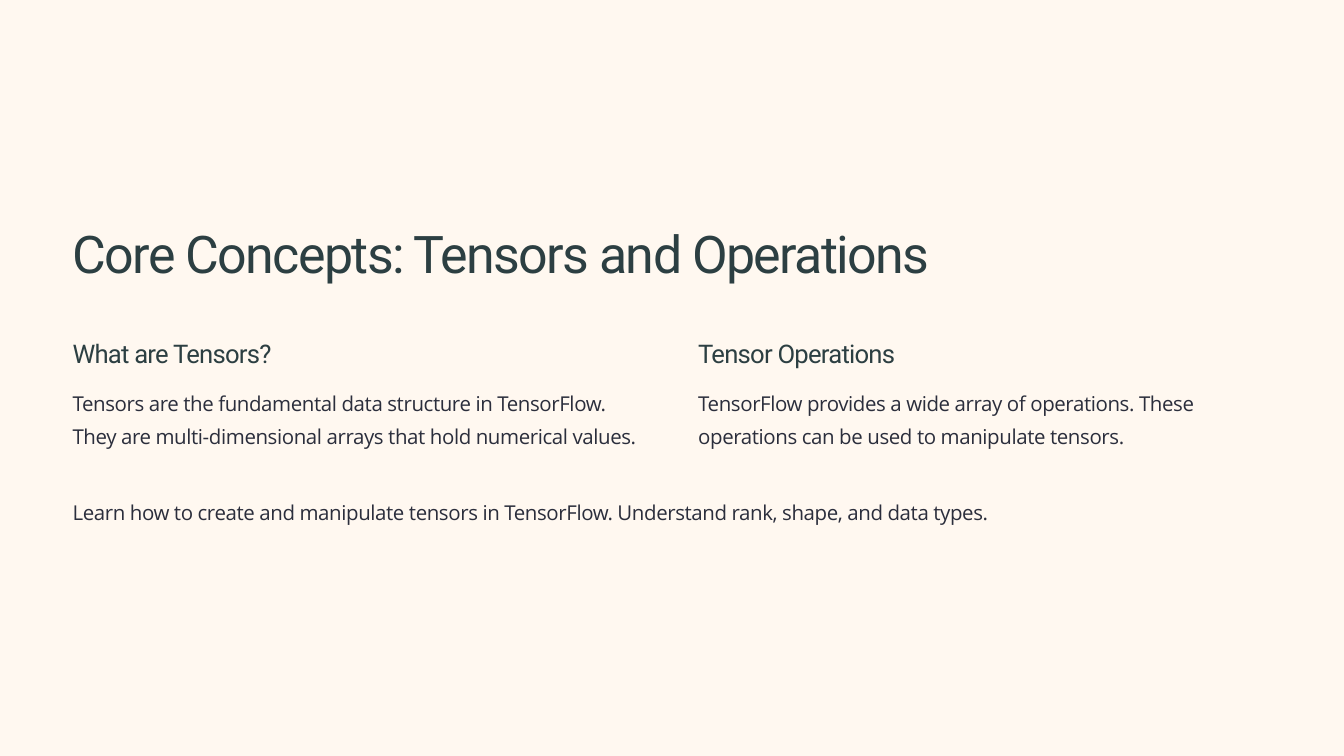
import dataclasses

import pptx
import pptx.dml.color
import pptx.enum.shapes
import pptx.enum.text
import pptx.oxml.ns
import pptx.util
import lxml.etree

Inches = pptx.util.Inches
Pt = pptx.util.Pt


@dataclasses.dataclass(frozen=True)
class Style:
    font: str
    size: float
    color: str
    lead: float
    track: float


@dataclasses.dataclass(frozen=True)
class Theme:
    base: str = "AABCB6"
    paper: str = "FFF8F0"
    title: Style = Style("Roboto", 55.6, "2C3F42", 69.4, -1.67)
    head: Style = Style("Roboto", 27.5, "2C3F42", 34.4, -0.82)
    body: Style = Style("Open Sans", 21.9, "2B2E3C", 35.6, -0.44)


THEME = Theme()
WIDE, HIGH = 20, 11.25
TITLE = "Core Concepts: Tensors and Operations"
TOPICS = [
    ("What are Tensors?",
     "Tensors are the fundamental data structure in TensorFlow. "
     "They are multi-dimensional arrays that hold numerical values."),
    ("Tensor Operations",
     "TensorFlow provides a wide array of operations. "
     "These operations can be used to manipulate tensors."),
]
SUMMARY = ("Learn how to create and manipulate tensors in TensorFlow. "
           "Understand rank, shape, and data types.")


def color(code):
    return pptx.dml.color.RGBColor.from_string(code)


def backdrop(slide, box):
    """Lay the base and paper panels behind the placeholders."""
    tree = slide.shapes._spTree
    kind = pptx.enum.shapes.MSO_SHAPE.RECTANGLE
    for i, code in enumerate((THEME.base, THEME.paper)):
        panel = slide.shapes.add_shape(kind, *map(Inches, box))
        panel.shadow.inherit = False
        panel.fill.solid()
        panel.fill.fore_color.rgb = color(code)
        panel.line.fill.background()
        tree.insert(2 + i, panel._element)


def write(shape, box, text, style):
    """Place a text shape in box (left, top, width, height) and fill it."""
    shape.left, shape.top, shape.width, shape.height = map(Inches, box)
    frame = shape.text_frame
    frame.margin_left = frame.margin_right = 0
    frame.margin_top = frame.margin_bottom = 0
    frame.word_wrap = True
    frame.auto_size = pptx.enum.text.MSO_AUTO_SIZE.NONE
    frame.vertical_anchor = pptx.enum.text.MSO_ANCHOR.TOP

    para = frame.paragraphs[0]
    props = para._p.get_or_add_pPr()
    props.set("marL", "0")
    props.set("indent", "0")
    lxml.etree.SubElement(props, pptx.oxml.ns.qn("a:buNone"))
    para.alignment = pptx.enum.text.PP_ALIGN.LEFT
    para.line_spacing = Pt(style.lead)
    para.space_before = Pt(0)

    run = para.add_run()
    run.text = text
    font = run.font
    font.name, font.size, font.bold = style.font, Pt(style.size), False
    font.color.rgb = color(style.color)
    run._r.get_or_add_rPr().set("spc", str(round(style.track * 100)))


def topic(head, body, box, texts):
    """Set a heading over its description inside box."""
    left, top, width, height = box
    drop = 0.68
    write(head, (left, top, 3.88, 0.52), texts[0], THEME.head)
    write(body, (left, top + drop, width, height - drop), texts[1], THEME.body)


def columns(slide, box):
    left, top, width, height = box
    gap = 0.77
    wide = (width - gap) / len(TOPICS)
    holders = slide.placeholders
    for i, texts in enumerate(TOPICS):
        place = (left + i * (wide + gap), top, wide, height)
        topic(holders[2 * i + 1], holders[2 * i + 2], place, texts)


def summary(slide, box):
    shape = slide.shapes.add_textbox(*map(Inches, box))
    write(shape, box, SUMMARY, THEME.body)


def main():
    deck = pptx.Presentation()
    deck.slide_width, deck.slide_height = Inches(WIDE), Inches(HIGH)
    layout = deck.slide_layouts.get_by_name("Comparison")
    slide = deck.slides.add_slide(layout)

    left, width = 1.08, 17.85
    backdrop(slide, (0, 0, WIDE, HIGH))
    write(slide.shapes.title, (left, 3.26, 13.22, 1), TITLE, THEME.title)
    columns(slide, (left, 5.01, width, 1.82))
    summary(slide, (left, 7.31, width, 0.64))
    deck.save("out.pptx")


if __name__ == "__main__":
    main()
